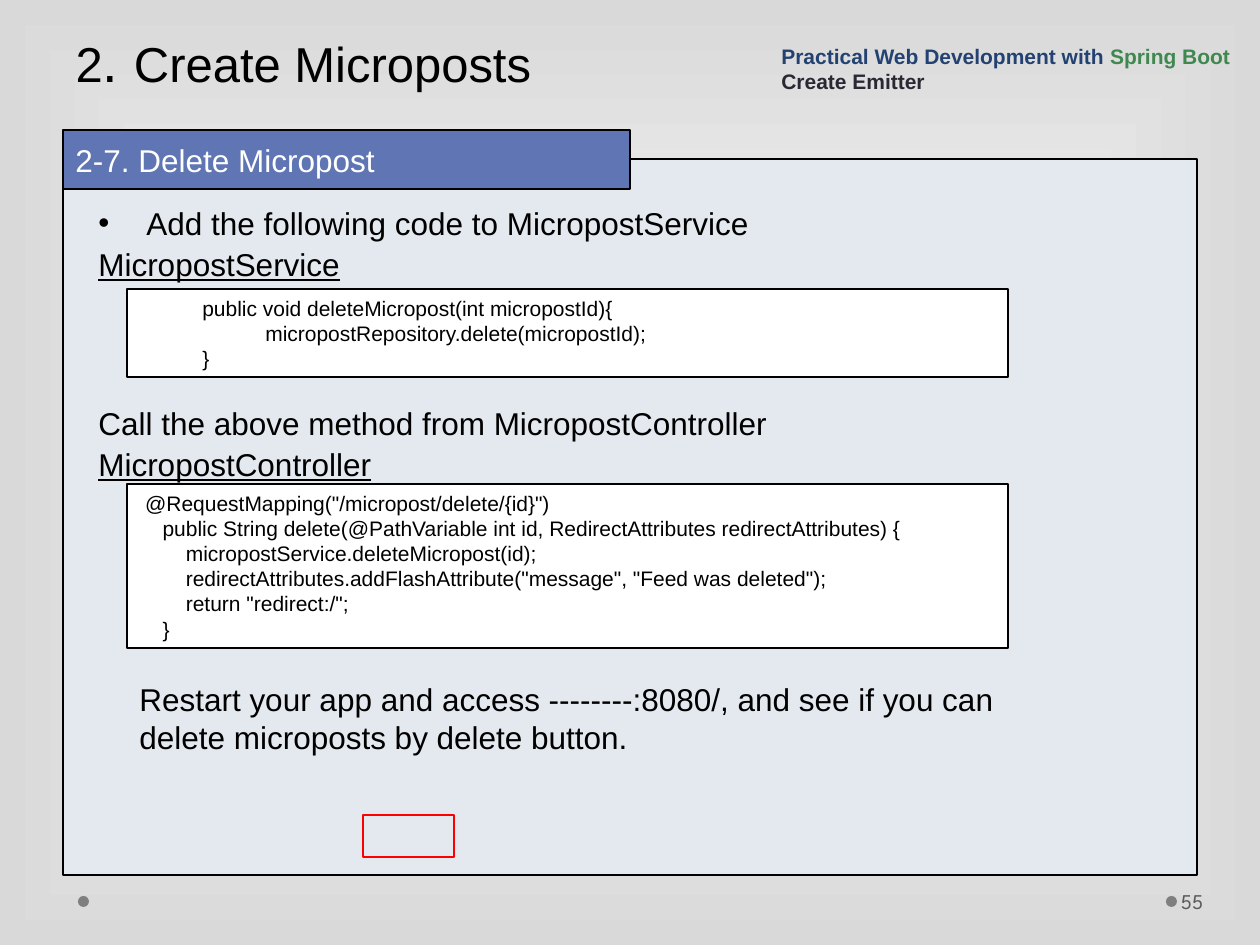
from lxml.etree import SubElement as Sub
from pptx import Presentation
from pptx.dml.color import RGBColor as Rgb
from pptx.enum.shapes import MSO_SHAPE as Kind
from pptx.enum.text import MSO_ANCHOR as Anchor, MSO_AUTO_SIZE as Auto, PP_ALIGN as Align
from pptx.oxml.ns import qn
from pptx.util import Emu, Pt

PX = 914400 / 126
HUES = {
    "white": "FFFFFF", "edge": "D9D9D9", "dot": "7F7F7F", "page": "595959",
    "ink": "000000", "panel": "E4E9EF", "tab": "6076B4", "navy": "234271",
    "green": "40884F", "dark": "292934", "red": "FF0000",
}
SERVICE = [
    "\tpublic void deleteMicropost(int micropostId){",
    "\t\tmicropostRepository.delete(micropostId);",
    "\t}",
]
CONTROL = [
    ' @RequestMapping("/micropost/delete/{id}")',
    "    public String delete(@PathVariable int id, RedirectAttributes redirectAttributes) {",
    "        micropostService.deleteMicropost(id);",
    '        redirectAttributes.addFlashAttribute("message", "Feed was deleted");',
    '        return "redirect:/";',
    "    }",
]


def px(n):
    return Emu(round(n * PX))


def hue(name):
    return Rgb.from_string(HUES[name])


def place(box, x, y, w, h):
    return box[0] + x, box[1] + y, w, h


def draw(slide, box, fill=None, line=None, width=0.75, kind=Kind.RECTANGLE):
    shape = slide.shapes.add_shape(kind, *map(px, box))
    shape.shadow.inherit = False
    if fill:
        shape.fill.solid()
        shape.fill.fore_color.rgb = hue(fill)
    else:
        shape.fill.background()
    if line:
        shape.line.color.rgb = hue(line)
        shape.line.width = Pt(width)
    else:
        shape.line.fill.background()
    return shape


def add_run(para, text, size, color="ink", **form):
    run = para.add_run()
    run.text = text
    look = {"size": Pt(size), "name": "Arial", **form}
    for key, val in look.items():
        setattr(run.font, key, val)
    run.font.color.rgb = hue(color)


def set_frame(shape, anchor=Anchor.TOP):
    frame = shape.text_frame
    look = {"word_wrap": True, "auto_size": Auto.NONE, "vertical_anchor": anchor}
    for key, val in look.items():
        setattr(frame, key, val)
    return frame


def write(shape, lines, size, anchor=Anchor.TOP, **form):
    frame = set_frame(shape, anchor)
    for i, line in enumerate(lines):
        para = frame.add_paragraph() if i else frame.paragraphs[0]
        para.alignment = Align.LEFT
        para.line_spacing = Pt(size * 1.2)
        for text, color in [(line, "ink")] if isinstance(line, str) else line:
            add_run(para, text, size, color, **form)
    return frame


def add_text(slide, box, lines, size, anchor=Anchor.TOP, **form):
    shape = slide.shapes.add_textbox(*map(px, box))
    return write(shape, lines, size, anchor, **form)


def add_code(slide, box, lines):
    frame = write(draw(slide, box, "white", "ink"), lines, 12)
    for para in frame.paragraphs:
        tabs = Sub(para._p.get_or_add_pPr(), qn("a:tabLst"))
        for stop in (63, 126):
            Sub(tabs, qn("a:tab"), pos=str(px(stop)), algn="l")


def add_bullet(slide, box, text):
    frame = add_text(slide, box, [text], 18)
    props = frame.paragraphs[0]._p.get_or_add_pPr()
    props.set("marL", str(px(48)))
    props.set("indent", str(px(-48)))
    Sub(props, qn("a:buFont"), typeface="Arial")
    Sub(props, qn("a:buChar"), char="•")


def add_back(slide):
    fill = slide.background.fill
    fill.gradient()
    for stop, name, spot in zip(fill.gradient_stops, ("white", "edge"), (0, 1)):
        stop.color.rgb = hue(name)
        stop.position = spot
    grad = slide.element.find(".//" + qn("a:gradFill"))
    grad.remove(grad.find(qn("a:lin")))
    shade = Sub(grad, qn("a:path"), {"path": "rect"})
    Sub(shade, qn("a:fillToRect"), {side: "50000" for side in "ltrb"})


def add_head(slide, box):
    title = slide.shapes.title
    spots = map(px, place(box, 63, 0, 1134, 100))
    for key, val in zip(("left", "top", "width", "height"), spots):
        setattr(title, key, val)
    para = set_frame(title, Anchor.BOTTOM).paragraphs[0]
    para.alignment = Align.LEFT
    para.line_spacing = Pt(58)
    for text, size in (("2", 28), (". ", 32), ("Create Microposts", 28)):
        add_run(para, text, size)
    lines = [
        [("Practical Web Development with ", "navy"), ("Spring Boot", "green")],
        [("Create Emitter", "dark")],
    ]
    add_text(slide, place(box, 769, 30, 491, 70), lines, 12, Anchor.BOTTOM, bold=True)


def add_body(slide, box):
    draw(slide, box, "panel", "ink")
    tab = draw(slide, place(box, 0, -29, 567, 59), "tab", "ink")
    write(tab, [[("2-7. Delete Micropost", "white")]], 18, Anchor.MIDDLE)
    add_bullet(slide, place(box, 23, 39, 1091, 50), "Add the following code to MicropostService")
    add_text(slide, place(box, 23, 80, 304, 50), ["MicropostService"], 18, underline=True)
    add_code(slide, place(box, 64, 130, 881, 88), SERVICE)
    add_text(slide, place(box, 23, 239, 885, 50),
             ["Call the above method from MicropostController"], 18)
    add_text(slide, place(box, 23, 280, 304, 50), ["MicropostController"], 18, underline=True)
    add_code(slide, place(box, 64, 325, 881, 164), CONTROL)
    add_text(slide, place(box, 64, 515, 885, 88),
             ["Restart your app and access --------:8080/, and see if you can "
              "delete microposts by delete button."], 18)
    draw(slide, place(box, 300, 656, 91, 42), None, "red", 1.5)


def add_foot(slide, box):
    for x in (78, 1166):
        draw(slide, place(box, x, 20, 11, 11), "dot", kind=Kind.OVAL)
    frame = add_text(slide, place(box, 1177, 0, 77, 50), [[("55", "page")]], 12,
                     Anchor.MIDDLE, name="League Spartan")
    frame.margin_left = px(4)
    frame.margin_right = px(6)


def main():
    deck = Presentation()
    deck.slide_width, deck.slide_height = px(1260), px(945)
    slide = deck.slides.add_slide(deck.slide_layouts[5])
    add_back(slide)
    add_head(slide, (0, 0, 1260, 100))
    add_body(slide, (63, 159, 1134, 716))
    add_foot(slide, (0, 876, 1260, 50))
    deck.save("out.pptx")


if __name__ == "__main__":
    main()
